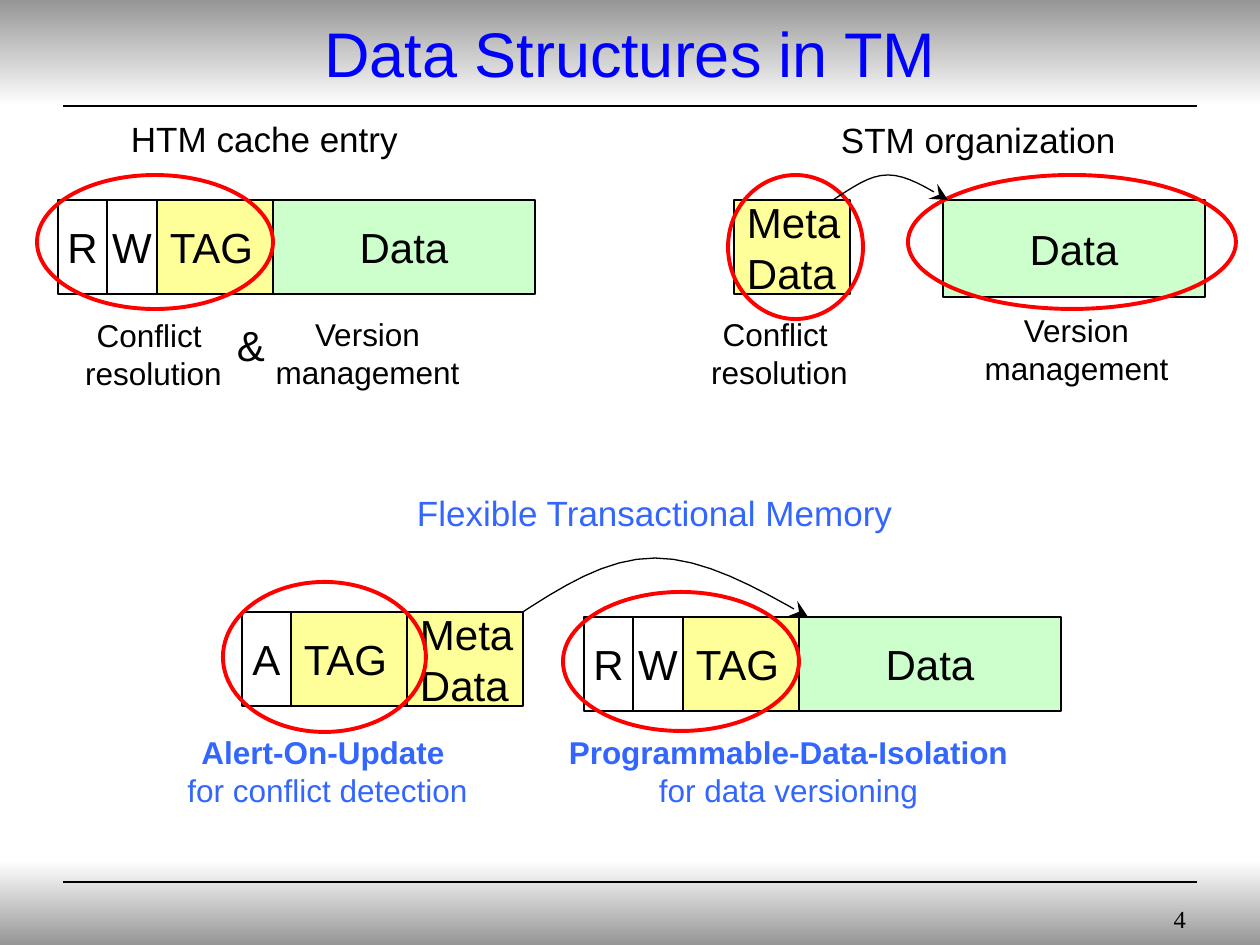
"""Build the slide comparing the data structures of transactional memory designs."""
from dataclasses import dataclass

from lxml import etree
from pptx import Presentation
from pptx.dml.color import RGBColor
from pptx.enum.shapes import MSO_CONNECTOR as Link, MSO_SHAPE as Shape
from pptx.enum.text import MSO_ANCHOR as Anchor, MSO_AUTO_SIZE as AutoSize, PP_ALIGN as Align
from pptx.oxml.ns import qn
from pptx.util import Emu, Pt

EMU_PER_PX = 914400 / 126


@dataclass(frozen=True)
class Theme:
    font: str = "Arial"
    number_font: str = "Times New Roman"
    ink: str = "000000"
    title: str = "0000FF"
    accent: str = "3366FF"
    ring: str = "FF0000"
    bit: str = "FFFFFF"
    tag: str = "FFFF99"
    data: str = "CCFFCC"
    shade: str = "969696"
    light: str = "FEFEFE"
    title_size: int = 36
    cell_size: int = 24
    heading_size: int = 20
    caption_size: int = 18
    number_size: int = 14


def px(*lengths):
    return [Emu(round(length * EMU_PER_PX)) for length in lengths]


def rgb(color):
    return RGBColor.from_string(color)


def write(text, *, frame, size, color, font, align=Align.CENTER, anchor=Anchor.TOP,
          wrap=True, lead_bold=False, margins=(13, 6, 13, 6)):
    frame.word_wrap = wrap
    frame.vertical_anchor = anchor
    (frame.margin_left, frame.margin_top,
     frame.margin_right, frame.margin_bottom) = px(*margins)
    for index, line in enumerate(text.split("\n")):
        paragraph = frame.paragraphs[0] if index == 0 else frame.add_paragraph()
        paragraph.alignment = align
        run = paragraph.add_run()
        run.text = line
        run.font.name = font
        run.font.size = Pt(size)
        run.font.bold = lead_bold and index == 0
        run.font.color.rgb = rgb(color)


def bezier(start, first, second, end, steps=8):
    for step in range(1, steps + 1):
        t = step / steps
        weights = (1 - t) ** 3, 3 * t * (1 - t) ** 2, 3 * t * t * (1 - t), t ** 3
        yield [sum(w * value for w, value in zip(weights, axis))
               for axis in zip(start, first, second, end)]


class Diagram:
    """Draw the slide's elements in one theme."""

    def __init__(self, slide, theme):
        self.slide = slide
        self.theme = theme
        self.cells = {
            "A": (49, theme.bit, Align.CENTER),
            "R": (49, theme.bit, Align.CENTER),
            "W": (50, theme.bit, Align.CENTER),
            "TAG": (116, theme.tag, Align.LEFT),
            "Meta\nData": (116, theme.tag, Align.LEFT),
            "Data": (262, theme.data, Align.CENTER),
        }

    def outline(self, shape, color, width):
        shape.shadow.inherit = False
        shape.line.color.rgb = rgb(color)
        shape.line.width = Pt(width)

    def band(self, top, height, upper, lower):
        band = self.slide.shapes.add_shape(Shape.RECTANGLE, *px(0, top, 1260, height))
        band.shadow.inherit = False
        band.line.fill.background()
        band.fill.gradient()
        band.fill.gradient_angle = 270
        for stop, position, color in zip(band.fill.gradient_stops, (0, 1), (upper, lower)):
            stop.position = position
            stop.color.rgb = rgb(color)
        return band

    def title(self, text):
        banner = self.band(0, 105, self.theme.shade, self.theme.light)
        write(text, frame=banner.text_frame, size=self.theme.title_size,
              color=self.theme.title, font=self.theme.font, anchor=Anchor.MIDDLE,
              margins=(0, 0, 0, 0))

    def rule(self, y, width):
        rule = self.slide.shapes.add_connector(Link.STRAIGHT, *px(63, y, 1197, y))
        rule.line.color.rgb = rgb(self.theme.ink)
        rule.line.width = Pt(width)
        etree.SubElement(rule._element.spPr, qn("a:effectLst"))

    def entry(self, left, top, *labels, height=94):
        for label in labels:
            width, color, align = self.cells[label]
            cell = self.slide.shapes.add_shape(Shape.RECTANGLE, *px(left, top, width, height))
            self.outline(cell, self.theme.ink, 1)
            cell.fill.solid()
            cell.fill.fore_color.rgb = rgb(color)
            write(label, frame=cell.text_frame, size=self.theme.cell_size,
                  color=self.theme.ink, font=self.theme.font, align=align,
                  anchor=Anchor.MIDDLE, wrap=False)
            left += width

    def ring(self, *box):
        ring = self.slide.shapes.add_shape(Shape.OVAL, *px(*box))
        self.outline(ring, self.theme.ring, 2.25)
        ring.fill.background()

    def pointer(self, start, *curves):
        builder = self.slide.shapes.build_freeform(*px(*start), scale=1.0)
        for curve in curves:
            builder.add_line_segments([px(*point) for point in bezier(start, *curve)], close=False)
            start = curve[-1]
        pointer = builder.convert_to_shape()
        self.outline(pointer, self.theme.ink, 0.75)
        pointer.fill.background()
        etree.SubElement(pointer._element.spPr.find(qn("a:ln")), qn("a:tailEnd"),
                         type="stealth", w="lg", len="lg")

    def label(self, text, box, **style):
        frame = self.slide.shapes.add_textbox(*px(*box)).text_frame
        frame.auto_size = AutoSize.SHAPE_TO_FIT_TEXT
        look = {"size": self.theme.caption_size, "color": self.theme.ink,
                "font": self.theme.font, **style}
        write(text, frame=frame, **look)

    def heading(self, text, box, color):
        self.label(text, box, size=self.theme.heading_size, color=color, align=Align.LEFT)

    def number(self, text):
        frame = self.slide.shapes.add_textbox(*px(1092, 892, 147, 53)).text_frame
        write(text, frame=frame, size=self.theme.number_size, color=self.theme.ink,
              font=self.theme.number_font, align=Align.RIGHT, anchor=Anchor.MIDDLE,
              margins=(0, 0, 53, 0))


def main():
    deck = Presentation()
    deck.slide_width, deck.slide_height = px(1260, 945)
    theme = Theme()
    diagram = Diagram(deck.slides.add_slide(deck.slide_layouts[6]), theme)

    diagram.band(861, 84, theme.light, theme.shade)
    diagram.rule(882, 1)
    diagram.rule(105, 2)
    diagram.title("Data Structures in TM")

    diagram.heading("HTM cache entry", (118, 111, 304, 55), theme.ink)
    diagram.entry(58, 200, "R", "W", "TAG", "Data")
    diagram.ring(37, 175, 236, 134)

    diagram.heading("STM organization", (828, 112, 312, 55), theme.ink)
    diagram.entry(943, 200, "Data", height=97)
    diagram.entry(734, 200, "Meta\nData")
    diagram.ring(728, 175, 135, 144)
    diagram.ring(908, 175, 328, 134)
    diagram.pointer((833, 200), ((852, 188), (869, 175), (888, 175)),
                    ((907, 175), (927, 188), (948, 200)))

    diagram.heading("Flexible Transactional Memory", (404, 485, 515, 55), theme.accent)
    diagram.entry(584, 617, "R", "W", "TAG", "Data")
    diagram.pointer((515, 617), ((561, 587), (606, 558), (655, 558)),
                    ((703, 558), (756, 587), (808, 617)))
    diagram.entry(242, 612, "A", "TAG", "Meta\nData")
    diagram.ring(223, 582, 203, 150)
    diagram.ring(563, 592, 236, 139)

    for role, left, top in (("Conflict \nresolution", 4, 310), ("Version\nmanagement", 218, 309),
                            ("Conflict \nresolution", 630, 309), ("Version\nmanagement", 927, 305)):
        diagram.label(role, (left, top, 299, 88))
    for mechanism, left in (("Alert-On-Update \nfor conflict detection", 25),
                            ("Programmable-Data-Isolation\nfor data versioning", 486)):
        diagram.label(mechanism, (left, 727, 605, 88), color=theme.accent, lead_bold=True)
    diagram.label("&", (224, 314, 53, 63), size=theme.cell_size, wrap=False)
    diagram.number("4")
    deck.save("out.pptx")


if __name__ == "__main__":
    main()
